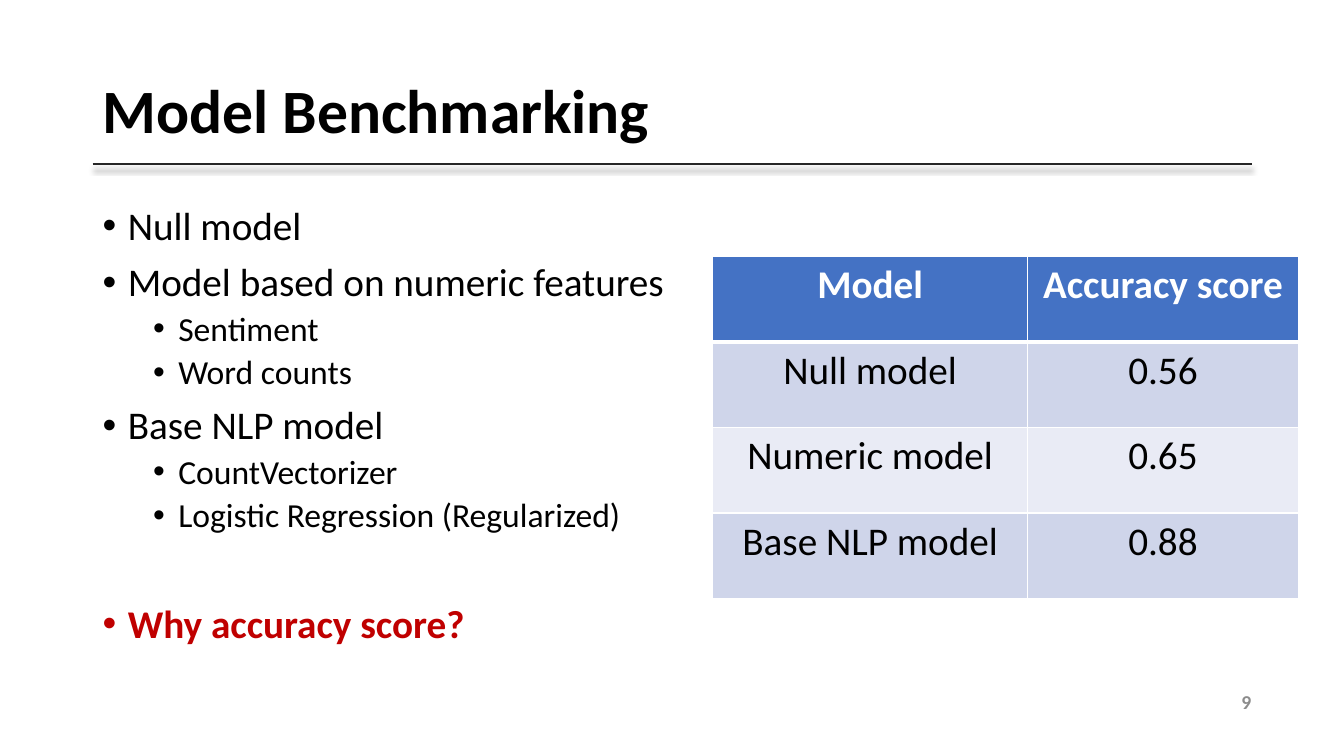
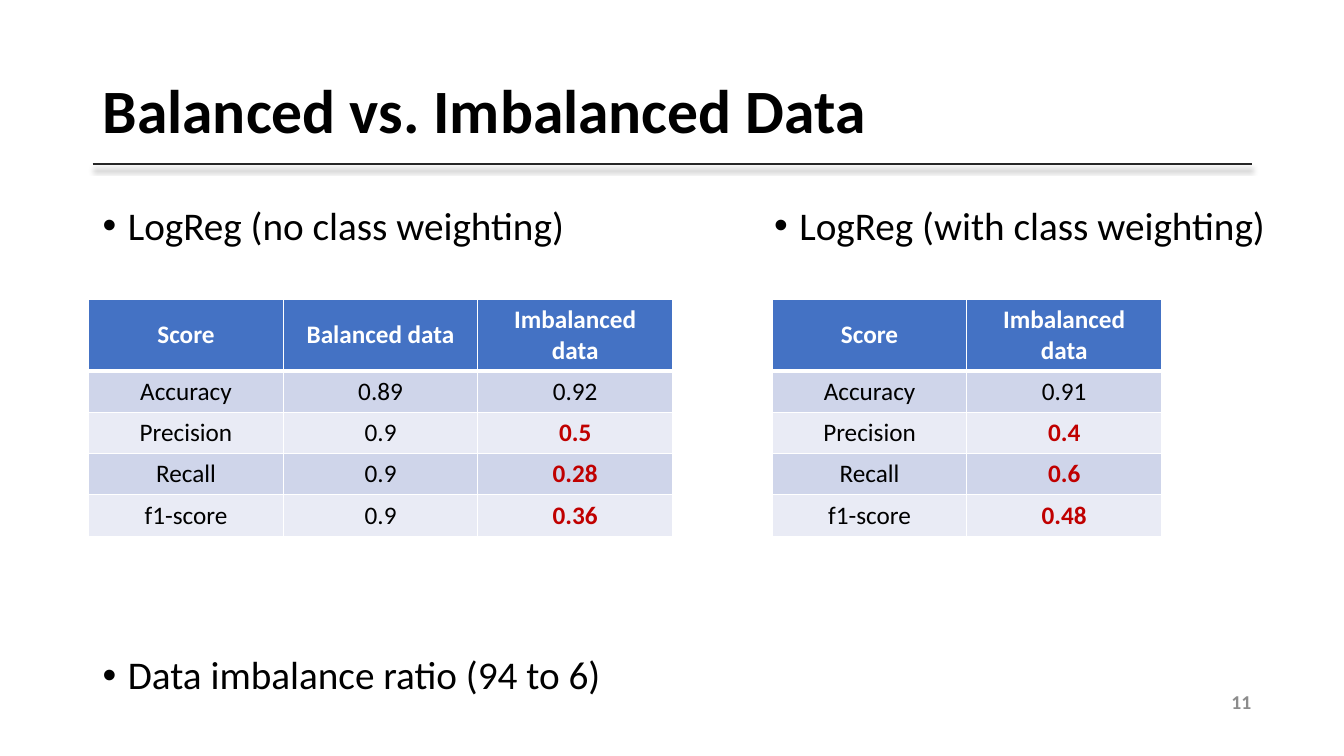
from lxml.etree import SubElement
from pptx import Presentation
from pptx.dml.color import RGBColor
from pptx.enum.shapes import MSO_CONNECTOR as Connector
from pptx.enum.text import MSO_ANCHOR as Anchor, PP_ALIGN as Align
from pptx.oxml.ns import qn
from pptx.util import Pt

PX = 9144  # EMU per px, 100 px to the inch
FONT = "Calibri"
COLORS = {
    "text": "000000",
    "accent": "C00000",
    "rule": "262626",
    "footer": "8C8C8C",
    "header": "4472C4",
    "band_dark": "CFD5EA",
    "band_light": "E9EBF5",
    "white": "FFFFFF",
}
TITLE_BOX = (92, 40, 1150, 145)
RULE = (92, 163, 1242, 163)
NUMBER_BOX = (951, 676, 300, 40)
# Size, left margin and space before of each bullet level
LEVELS = [(28, 25, 10), (24, 75, 5)]
HANGING = 25


def emu(*lengths):
    return [length * PX for length in lengths]


def rgb(name):
    return RGBColor.from_string(COLORS[name])


def style(para, size, color="text", bold=False, align=Align.LEFT):
    para.alignment = align
    font = para.font
    font.name, font.size, font.bold = FONT, Pt(size), bold
    font.color.rgb = rgb(color)


def add_text_frame(page, box, anchor=Anchor.TOP):
    frame = page.shapes.add_textbox(*emu(*box)).text_frame
    frame.word_wrap = True
    frame.vertical_anchor = anchor
    return frame


def add_rule(page):
    """Draw the line under the title with its soft shadow."""
    rule = page.shapes.add_connector(Connector.STRAIGHT, *emu(*RULE))
    rule.line.color.rgb = rgb("rule")
    rule.line.width = Pt(1.5)
    effects = SubElement(rule.element.spPr, qn("a:effectLst"))
    shadow = SubElement(effects, qn("a:outerShdw"), blurRad=str(Pt(4)),
                        dist=str(Pt(3)), dir="5400000", algn="t", rotWithShape="0")
    color = SubElement(shadow, qn("a:srgbClr"), val=COLORS["text"])
    SubElement(color, qn("a:alpha"), val="40000")


def add_page(deck, title, number):
    """Add a blank page with the shared title, rule and page number."""
    page = deck.slides.add_slide(deck.slide_layouts[6])
    add_rule(page)
    heading = add_text_frame(page, TITLE_BOX, Anchor.MIDDLE).paragraphs[0]
    heading.text = title
    heading.line_spacing = 0.9
    style(heading, 44, bold=True)
    footer = add_text_frame(page, NUMBER_BOX, Anchor.MIDDLE).paragraphs[0]
    footer.text = str(number)
    style(footer, 14, "footer", True, Align.RIGHT)
    return page


def add_bullet(para, text, level=0, color="text", bold=False, extra_gap=0):
    size, margin, gap = LEVELS[level]
    para.text = text
    para.level = level
    para.line_spacing = 0.9
    para.space_before = Pt(gap + extra_gap)
    props = para._p.get_or_add_pPr()
    props.set("marL", str(margin * PX))
    props.set("indent", str(-HANGING * PX))
    tint = SubElement(props, qn("a:buClr"))
    SubElement(tint, qn("a:srgbClr"), val=COLORS[color])
    SubElement(props, qn("a:buFont"), typeface="Arial")
    SubElement(props, qn("a:buChar"), char="•")
    style(para, size, color, bold)


def add_bullets(page, box, items):
    """Fill a box with bullets, each a dict of add_bullet arguments."""
    frame = add_text_frame(page, box)
    for index, item in enumerate(items):
        para = frame.add_paragraph() if index else frame.paragraphs[0]
        add_bullet(para, **item)


def add_borders(cell, row):
    """Give a cell white edges, thick between header and body."""
    props = cell._tc.get_or_add_tcPr()
    thick_edge = {0: "lnB", 1: "lnT"}.get(row)
    for edge in ("lnL", "lnR", "lnT", "lnB"):
        width = Pt(3 if edge == thick_edge else 1)
        line = SubElement(props, qn(f"a:{edge}"), w=str(width))
        fill = SubElement(line, qn("a:solidFill"))
        SubElement(fill, qn("a:srgbClr"), val=COLORS["white"])


def fill_cell(cell, text, row, size, anchor, weak):
    add_borders(cell, row)
    cell.vertical_anchor = anchor
    cell.fill.solid()
    band = "band_dark" if row % 2 else "band_light"
    cell.fill.fore_color.rgb = rgb(band if row else "header")
    para = cell.text_frame.paragraphs[0]
    para.text = text
    color = "accent" if weak else "text" if row else "white"
    style(para, size, color, weak or row == 0, Align.CENTER)


def add_grid(page, corner, widths, heights, rows, size, anchor, weak_below=0):
    """Add a table; body values under weak_below stand out."""
    box = (*corner, sum(widths), sum(heights))
    table = page.shapes.add_table(len(rows), len(widths), *emu(*box)).table
    table.horz_banding = False
    for column, width in zip(table.columns, emu(*widths)):
        column.width = width
    for line, height in zip(table.rows, emu(*heights)):
        line.height = height
    for row, texts in enumerate(rows):
        for column, text in enumerate(texts):
            weak = bool(row and column) and float(text) < weak_below
            fill_cell(table.cell(row, column), text, row, size, anchor, weak)


def add_scores(page, corner, rows):
    widths = [193] * len(rows[0])
    heights = [71] + [41] * (len(rows) - 1)
    add_grid(page, corner, widths, heights, rows, 18, Anchor.MIDDLE, weak_below=0.7)


def add_benchmark_page(deck):
    page = add_page(deck, "Model Benchmarking", 9)
    add_bullets(page, (92, 200, 1150, 476), [
        {"text": "Null model"},
        {"text": "Model based on numeric features"},
        {"text": "Sentiment", "level": 1},
        {"text": "Word counts", "level": 1},
        {"text": "Base NLP model"},
        {"text": "CountVectorizer", "level": 1},
        {"text": "Logistic Regression (Regularized)", "level": 1},
        {"text": "Why accuracy score?", "color": "accent", "bold": True, "extra_gap": 40},
    ])
    rows = [
        ("Model", "Accuracy score"),
        ("Null model", "0.56"),
        ("Numeric model", "0.65"),
        ("Base NLP model", "0.88"),
    ]
    add_grid(page, (707, 254), [312, 269], [85] * 4, rows, 28, Anchor.TOP)


def add_balance_page(deck):
    page = add_page(deck, "Balanced vs. Imbalanced Data", 11)
    add_bullets(page, (92, 200, 600, 70), [{"text": "LogReg (no class weighting)"}])
    add_bullets(page, (758, 200, 532, 70), [{"text": "LogReg (with class weighting)"}])
    add_bullets(page, (92, 646, 800, 70), [{"text": "Data imbalance ratio (94 to 6)"}])
    add_scores(page, (88, 297), [
        ("Score", "Balanced data", "Imbalanced data"),
        ("Accuracy", "0.89", "0.92"),
        ("Precision", "0.9", "0.5"),
        ("Recall", "0.9", "0.28"),
        ("f1-score", "0.9", "0.36"),
    ])
    add_scores(page, (766, 297), [
        ("Score", "Imbalanced data"),
        ("Accuracy", "0.91"),
        ("Precision", "0.4"),
        ("Recall", "0.6"),
        ("f1-score", "0.48"),
    ])


def main():
    deck = Presentation()
    deck.slide_width, deck.slide_height = emu(1333, 750)
    add_benchmark_page(deck)
    add_balance_page(deck)
    deck.save("out.pptx")


if __name__ == "__main__":
    main()
